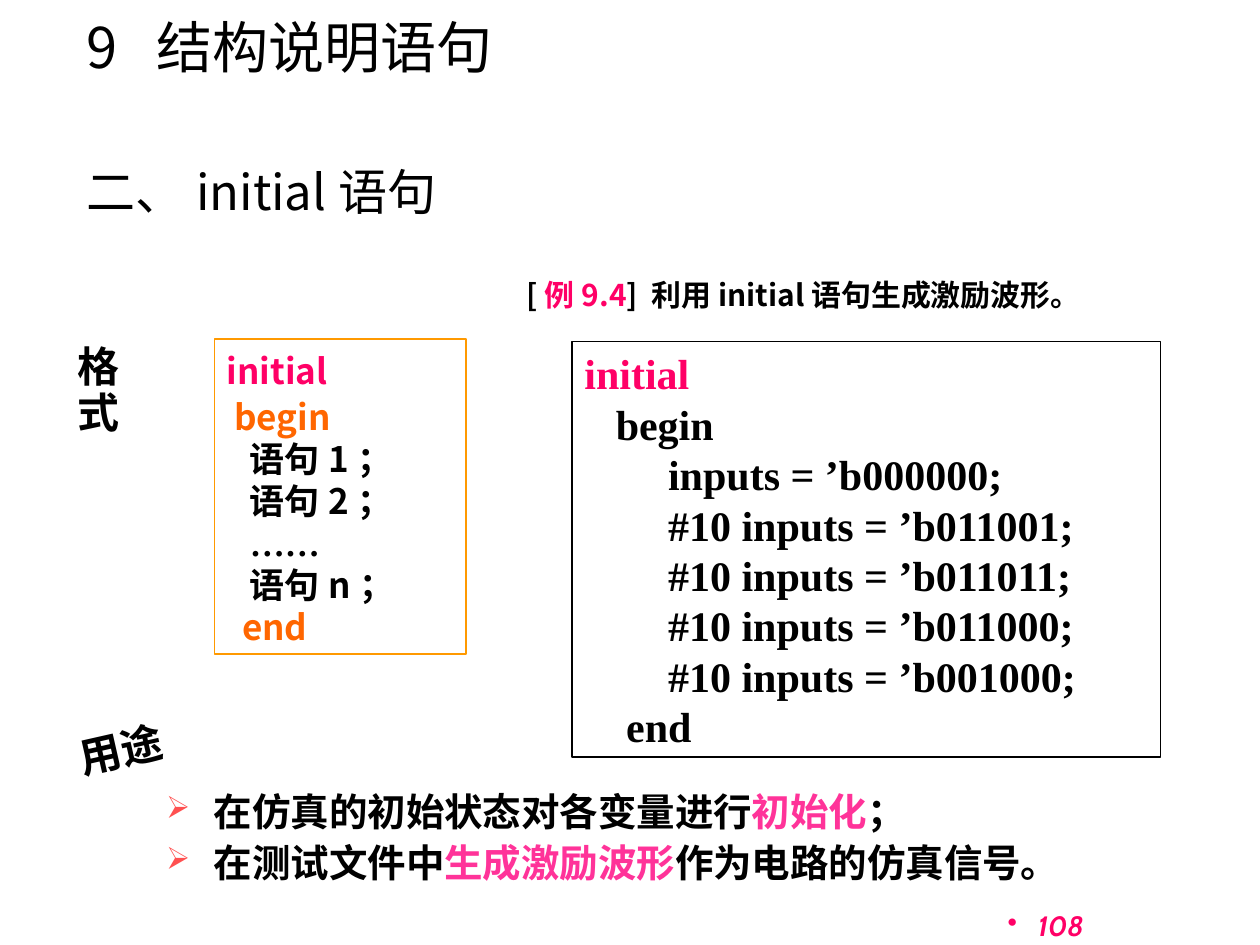
import pptx
import pptx.util
import pptx.dml.color
import pptx.enum.shapes
import pptx.enum.text
import pptx.oxml
import pptx.oxml.ns

Color = pptx.dml.color.RGBColor
Align = pptx.enum.text.PP_ALIGN
Anchor = pptx.enum.text.MSO_ANCHOR

BLACK = Color(0x00, 0x00, 0x00)
CRIMSON = Color(0xFF, 0x00, 0x66)
ORANGE = Color(0xFF, 0x66, 0x00)
AMBER = Color(0xFF, 0x99, 0x00)
PINK = Color(0xFF, 0x33, 0x99)
CORAL = Color(0xFF, 0x50, 0x50)

SANS = "Noto Sans CJK SC"
SERIF = "Times New Roman"
ROUND = "Cabin"


class SlideBuilder:
    columns, rows = 100, 75

    def __init__(self, presentation):
        self.cell_width = presentation.slide_width / self.columns
        self.cell_height = presentation.slide_height / self.rows
        self.slide = presentation.slides.add_slide(presentation.slide_layouts[6])

    def place(self, left, top, width, height):
        return (round(left * self.cell_width), round(top * self.cell_height),
                round(width * self.cell_width), round(height * self.cell_height))

    def text(self, area, anchor=Anchor.TOP, wrap=True, rotation=0):
        shape = self.slide.shapes.add_textbox(*self.place(*area))
        shape.rotation = rotation
        shape.text_frame.word_wrap = wrap
        shape.text_frame.vertical_anchor = anchor
        return shape.text_frame

    def frame(self, area, color, weight):
        kind = pptx.enum.shapes.MSO_SHAPE.RECTANGLE
        shape = self.slide.shapes.add_shape(kind, *self.place(*area))
        shape.shadow.inherit = False
        shape.fill.background()
        shape.line.color.rgb = color
        shape.line.width = pptx.util.Pt(weight)
        shape.text_frame.word_wrap = True
        shape.text_frame.vertical_anchor = Anchor.BOTTOM
        return shape.text_frame

    def paragraph(self, text_frame, runs, size, font=SANS, bold=True, italic=False,
                  align=Align.LEFT, spacing=1.0, before=0, margin=0, hanging=0):
        paragraph = text_frame.paragraphs[0]
        if paragraph.runs:
            paragraph = text_frame.add_paragraph()
        paragraph.alignment = align
        paragraph.line_spacing = spacing
        paragraph.space_before = pptx.util.Pt(before)
        properties = paragraph._p.get_or_add_pPr()
        properties.set("marL", str(round(margin * self.cell_width)))
        properties.set("indent", str(round(-hanging * self.cell_width)))
        for words, color, *own_font in runs:
            run = paragraph.add_run()
            run.text = words
            run.font.size = pptx.util.Pt(size)
            run.font.bold = bold
            run.font.italic = italic
            run.font.color.rgb = color
            run.font.name = own_font[0] if own_font else font
            east_asian = pptx.oxml.parse_xml(
                f'<a:ea {pptx.oxml.ns.nsdecls("a")} typeface="{SANS}"/>')
            run.font._element.find(pptx.oxml.ns.qn("a:latin")).addnext(east_asian)
        return paragraph

    def bullet(self, paragraph, character, color, percent=100):
        namespace = pptx.oxml.ns.nsdecls("a")
        properties = paragraph._p.get_or_add_pPr()
        for element in (
            f'<a:buClr {namespace}><a:srgbClr val="{color}"/></a:buClr>',
            f'<a:buSzPct {namespace} val="{percent * 1000}"/>',
            f'<a:buChar {namespace} char="{character}"/>',
        ):
            properties.append(pptx.oxml.parse_xml(element))


def main():
    presentation = pptx.Presentation()
    presentation.slide_width = pptx.util.Inches(10)
    presentation.slide_height = pptx.util.Inches(7.5)
    builder = SlideBuilder(presentation)

    page_number = builder.text((63.7, 70.1, 23.3, 5.2), Anchor.BOTTOM)
    paragraph = builder.paragraph(page_number, [("108", CRIMSON)], 16, ROUND, italic=True,
                                  align=Align.RIGHT, margin=2.4, hanging=2.4)
    builder.bullet(paragraph, "•", CRIMSON)

    title = builder.text((5.9, 2.1, 62.2, 4.7), Anchor.BOTTOM)
    builder.paragraph(title, [("9  结构说明语句", BLACK)], 32, bold=False)

    heading = builder.text((5.9, 11.9, 86.6, 51.6))
    builder.paragraph(heading, [("二、initial语句", BLACK)], 28, bold=False,
                      align=Align.JUSTIFY, spacing=1.1, before=7, margin=3.8, hanging=3.8)

    syntax = builder.frame((17, 26.9, 20, 25), AMBER, 0.75)
    for words, color, level, spacing, font in (
        ("initial", CRIMSON, 0, 1.1, SANS),
        ("begin", ORANGE, 1, 1.1, SANS),
        ("语句1；", BLACK, 3, 1, SANS),
        ("语句2；", BLACK, 3, 1, SANS),
        ("……", BLACK, 3, 1, SERIF),
        ("语句n；", BLACK, 3, 1, SANS),
        ("end", ORANGE, 2, 1, SANS),
    ):
        builder.paragraph(syntax, [(words, color)], 20, font,
                          spacing=spacing, margin=level * 0.62)

    format_label = builder.text((5.2, 27, 8.6, 4.6), wrap=False)
    builder.paragraph(format_label, [("格式", BLACK)], 24, spacing=0.9, before=9)

    caption = builder.text((39.7, 22.2, 57.3, 4.5))
    builder.paragraph(caption, [("[", BLACK), ("例9.4", CRIMSON),
                                ("] 利用initial语句生成激励波形。", BLACK)],
                      17.1, align=Align.JUSTIFY, spacing=0.7, margin=1.1)

    example = builder.frame((45.4, 27.1, 46.7, 33), BLACK, 1)
    stimuli = ["inputs = ’b000000;"] + [
        f"#10 inputs = ’b{bits};" for bits in ("011001", "011011", "011000", "001000")]
    lines = [("initial", CRIMSON, 0), ("begin", BLACK, 3)]
    lines += [(stimulus, BLACK, 8) for stimulus in stimuli]
    lines.append(("end", BLACK, 4))
    for words, color, level in lines:
        builder.paragraph(example, [(words, color)], 24, SERIF, margin=level * 0.83)

    usage_label = builder.text((2.7, 56, 13.7, 6.9), Anchor.MIDDLE, False, 347.2)
    builder.paragraph(usage_label, [("用途", BLACK)], 24, SERIF, align=Align.CENTER)

    usage = builder.text((12.2, 61.7, 75.4, 9.9))
    for opening, keyword, ending in (
        ("在仿真的初始状态对各变量进行", "初始化", "；"),
        ("在测试文件中", "生成激励波形", "作为电路的仿真信号。"),
    ):
        runs = [(opening, BLACK), (keyword, PINK), (ending, BLACK)]
        paragraph = builder.paragraph(usage, runs, 22, align=Align.JUSTIFY, spacing=1.1,
                                      margin=3.8, hanging=3.8)
        builder.bullet(paragraph, "➢", CORAL, 80)

    presentation.save("out.pptx")


if __name__ == "__main__":
    main()
